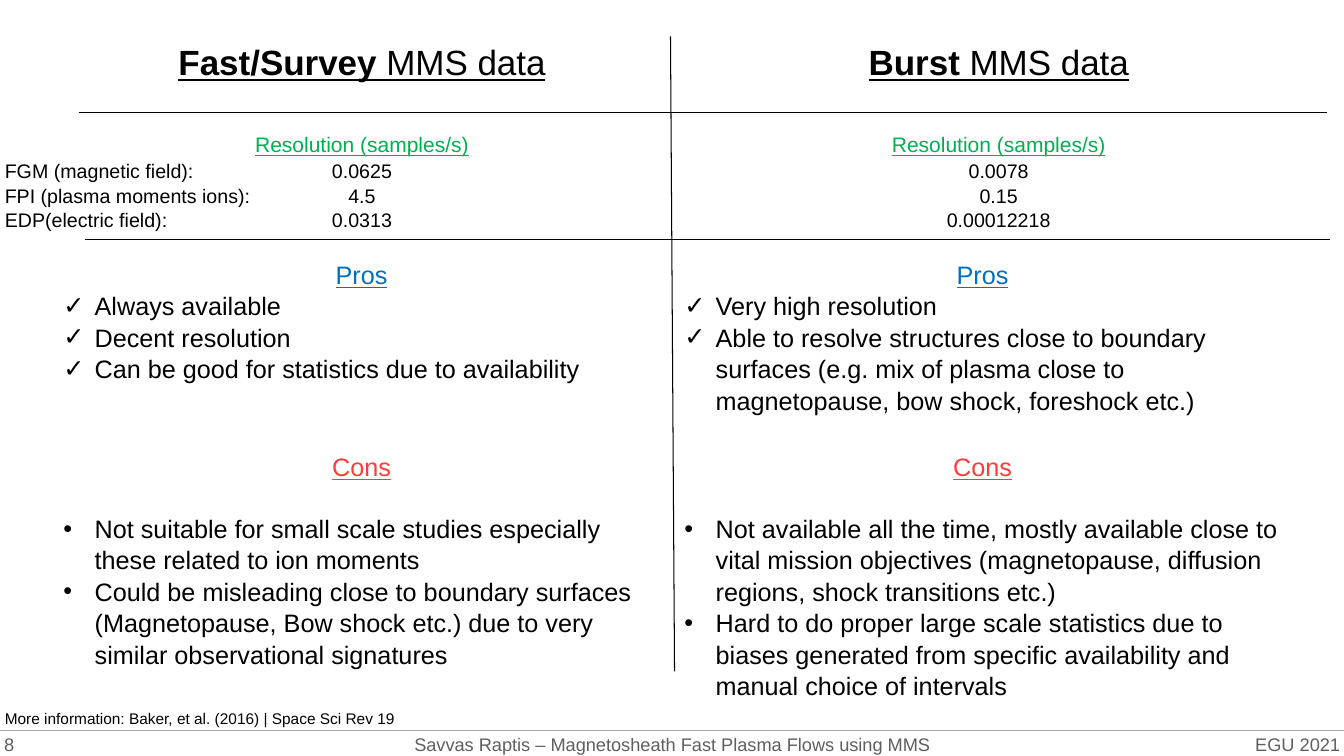
from lxml import etree
from pptx import Presentation
from pptx.dml.color import RGBColor
from pptx.enum.shapes import MSO_CONNECTOR
from pptx.enum.text import MSO_ANCHOR, PP_ALIGN
from pptx.oxml.ns import qn
from pptx.util import Inches, Pt

LEFT, CENTER, RIGHT = PP_ALIGN.LEFT, PP_ALIGN.CENTER, PP_ALIGN.RIGHT
TOP, MIDDLE = MSO_ANCHOR.TOP, MSO_ANCHOR.MIDDLE
STRAIGHT = MSO_CONNECTOR.STRAIGHT

BLACK = RGBColor(0x00, 0x00, 0x00)
FOOTER_GRAY = RGBColor(0x5F, 0x5F, 0x5F)
RULE_GRAY = RGBColor(0xA6, 0xA6, 0xA6)
GREEN = RGBColor(0x00, 0xB0, 0x50)
BLUE = RGBColor(0x00, 0x70, 0xC0)
RED = RGBColor(0xFF, 0x3B, 0x3B)

FONT = "Arial"
LINE_SPACING = 1.04
SLIDE_W, SLIDE_H = Inches(13.33), Inches(7.5)
SLIDE_BOX = (0, 0, SLIDE_W, SLIDE_H)
INDENT = Inches(0.31)

# Tops and heights in percent of the slide's height
TITLE_ROW = (4.53, 6.93)
RESOLUTION_ROW = (16.67, 4.67)
SAMPLES_ROW = (20.27, 10.8)
PROS_ROW = (33.47, 25.6)
CONS_ROW = (58.93, 33.7)
BODY_WIDTH = Inches(6.11)

INSTRUMENTS = ["FGM (magnetic field):", "FPI (plasma moments ions):",
               "EDP(electric field):"]
MODES = [
    dict(
        name="Fast/Survey", samples=["0.0625", "4.5", "0.0313"],
        pros=["Always available", "Decent resolution",
              "Can be good for statistics due to availability"],
        cons=["Not suitable for small scale studies especially these related "
              "to ion moments",
              "Could be misleading close to boundary surfaces (Magnetopause, "
              "Bow shock etc.) due to very similar observational signatures"]),
    dict(
        name="Burst", samples=["0.0078", "0.15", "0.00012218"],
        pros=["Very high resolution",
              "Able to resolve structures close to boundary surfaces (e.g. mix "
              "of plasma close to magnetopause, bow shock, foreshock etc.)"],
        cons=["Not available all the time, mostly available close to vital "
              "mission objectives (magnetopause, diffusion regions, shock "
              "transitions etc.)",
              "Hard to do proper large scale statistics due to biases generated "
              "from specific availability and manual choice of intervals"]),
]


def share(box, x, y, w, h):
    left, top, width, height = box
    return (int(left + width * x / 100), int(top + height * y / 100),
            int(width * w / 100), int(height * h / 100))


def row(box, band):
    return share(box, 0, band[0], 100, band[1])


def add_frame(slide, box, anchor=TOP, inset=True):
    frame = slide.shapes.add_textbox(*box).text_frame
    frame.word_wrap = True
    frame.vertical_anchor = anchor
    if not inset:
        frame.margin_left = frame.margin_right = 0
        frame.margin_top = frame.margin_bottom = 0
    return frame


def write(frame, text, size=18, color=BLACK, align=LEFT, underline=False,
          bold_lead="", bullet="", space_after=0):
    paragraph = frame.paragraphs[0]
    if paragraph.runs:
        paragraph = frame.add_paragraph()
    if bullet:
        properties = paragraph._p.get_or_add_pPr()
        properties.set("marL", str(INDENT))
        properties.set("indent", str(-INDENT))
        etree.SubElement(properties, qn("a:buFont")).set("typeface", FONT)
        etree.SubElement(properties, qn("a:buChar")).set("char", bullet)
    paragraph.alignment = align
    paragraph.line_spacing = LINE_SPACING
    paragraph.space_after = Pt(space_after)
    for part, bold in ((bold_lead, True), (text, False)):
        if part:
            run = paragraph.add_run()
            run.text = part
            run.font.name, run.font.size = FONT, Pt(size)
            run.font.bold, run.font.underline = bold, underline
            run.font.color.rgb = color


def add_rule(slide, box, start, end, color=BLACK):
    x1, y1 = share(box, *start, 0, 0)[:2]
    x2, y2 = share(box, *end, 0, 0)[:2]
    rule = slide.shapes.add_connector(STRAIGHT, x1, y1, x2, y2)
    rule.line.color.rgb = color
    rule.line.width = Pt(0.75)
    etree.SubElement(rule._element.spPr, qn("a:effectLst"))


def add_list(slide, box, heading, color, items, bullet, gap=0):
    frame = add_frame(slide, box)
    write(frame, heading, color=color, align=CENTER, underline=True,
          space_after=gap)
    for item in items:
        write(frame, item, bullet=bullet)


def add_mode(slide, box, mode):
    write(add_frame(slide, row(box, TITLE_ROW)), " MMS data", size=25,
          align=CENTER, underline=True, bold_lead=mode["name"])
    write(add_frame(slide, row(box, RESOLUTION_ROW)), "Resolution (samples/s)",
          size=15, color=GREEN, align=CENTER, underline=True)
    samples = add_frame(slide, share(box, 32, SAMPLES_ROW[0], 36, SAMPLES_ROW[1]))
    for value in mode["samples"]:
        write(samples, value, size=14, align=CENTER)
    body = (box[0], box[1], BODY_WIDTH, box[3])
    add_list(slide, row(body, PROS_ROW), "Pros", BLUE, mode["pros"], "✓")
    add_list(slide, row(body, CONS_ROW), "Cons", RED, mode["cons"], "•", gap=21.6)


def add_side_notes(slide, box):
    labels = add_frame(slide, share(box, -0.38, SAMPLES_ROW[0], 19.8, SAMPLES_ROW[1]))
    for instrument in INSTRUMENTS:
        write(labels, instrument, size=14)
    write(add_frame(slide, share(box, -0.38, 93.07, 34.06, 3.87)),
          "More information: Baker, et al. (2016) | Space Sci Rev 19", size=11)


def add_dividers(slide, box):
    add_rule(slide, box, (49.89, 4.8), (50.19, 88.8))
    add_rule(slide, box, (5.85, 14.93), (98.72, 14.93))
    add_rule(slide, box, (6.3, 31.73), (98.95, 31.73))


def add_footer(slide, box):
    add_rule(slide, box, (0, 0), (100, 0), color=RULE_GRAY)
    for text, x, width, align in (
            ("8", 0.3, 31.5, LEFT),
            ("Savvas Raptis – Magnetosheath Fast Plasma Flows using MMS",
             0, 100, CENTER),
            ("EGU 2021", 68.2, 31.5, RIGHT)):
        frame = add_frame(slide, share(box, x, 4, width, 96), MIDDLE, inset=False)
        write(frame, text, size=13, color=FOOTER_GRAY, align=align)


def main():
    deck = Presentation()
    deck.slide_width, deck.slide_height = SLIDE_W, SLIDE_H
    slide = deck.slides.add_slide(deck.slide_layouts[6])
    add_footer(slide, share(SLIDE_BOX, 0, 96.67, 100, 3.33))
    add_dividers(slide, SLIDE_BOX)
    add_side_notes(slide, SLIDE_BOX)
    for mode, (x, width) in zip(MODES, ((3.98, 45.91), (50.19, 48.24))):
        add_mode(slide, share(SLIDE_BOX, x, 0, width, 100), mode)
    deck.save("out.pptx")


if __name__ == "__main__":
    main()
